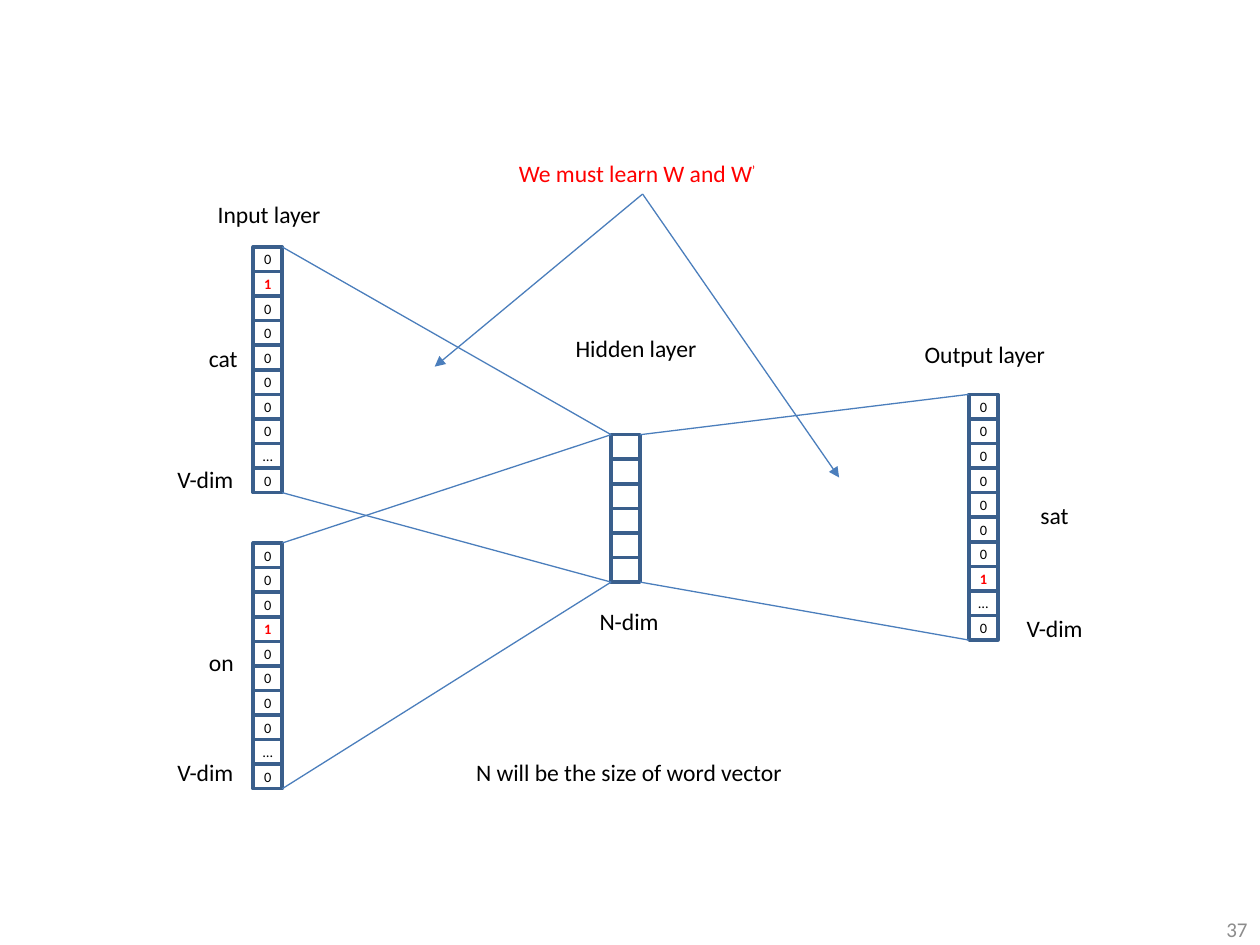
from lxml import etree
from pptx import Presentation
from pptx.dml.color import RGBColor
from pptx.enum.shapes import MSO_CONNECTOR, MSO_SHAPE
from pptx.enum.text import MSO_ANCHOR, PP_ALIGN
from pptx.oxml.ns import qn
from pptx.util import Inches, Pt

RECT, STRAIGHT = MSO_SHAPE.RECTANGLE, MSO_CONNECTOR.STRAIGHT
LEFT, CENTER, RIGHT = PP_ALIGN.LEFT, PP_ALIGN.CENTER, PP_ALIGN.RIGHT
TOP, MIDDLE = MSO_ANCHOR.TOP, MSO_ANCHOR.MIDDLE

BLACK = RGBColor(0x00, 0x00, 0x00)
RED = RGBColor(0xFF, 0x00, 0x00)
GRAY = RGBColor(0x8C, 0x8C, 0x8C)
CELL_BORDER = RGBColor(0x3A, 0x5F, 0x8C)
LINK_BLUE = RGBColor(0x4B, 0x7E, 0xBC)

# Content: vectors as (left, top, cell values), in inches
VECTORS = {
    "cat": (2.01, 1.96, ["0", "1", "0", "0", "0", "0", "0", "0", "…", "0"]),
    "on": (2.01, 4.31, ["0", "0", "0", "1", "0", "0", "0", "0", "…", "0"]),
    "hidden": (4.85, 3.45, [""] * 6),
    "sat": (7.69, 3.13, ["0", "0", "0", "0", "0", "0", "0", "1", "…", "0"]),
}
LAYER_LINKS = [("cat", "hidden"), ("on", "hidden"), ("hidden", "sat")]

# Labels as (text, left, top, width)
LABELS = [
    ("cat", 1.56, 2.68, 0.43),
    ("on", 1.56, 5.09, 0.40),
    ("sat", 8.16, 3.93, 0.43),
    ("Input layer", 1.63, 1.54, 1.03),
    ("Hidden layer", 4.47, 2.60, 1.18),
    ("Output layer", 7.24, 2.65, 1.17),
    ("V-dim", 1.31, 3.64, 0.66),
    ("V-dim", 1.31, 5.97, 0.66),
    ("V-dim", 8.05, 4.82, 0.66),
    ("N-dim", 4.66, 4.77, 0.68),
    ("N will be the size of word vector", 3.68, 5.97, 2.66),
]
WEIGHTS_NOTE = ("We must learn W and W", "’")
WEIGHTS_START = (5.10, 1.54)
WEIGHTS_TARGETS = [(3.45, 2.91), (6.66, 3.79)]
PAGE_NUMBER = "37"

CELL_W, CELL_H = 0.23, 0.195
LABEL_H = 0.33


def write(frame, text, size=13.5, color=BLACK, bold=False, align=LEFT,
          anchor=TOP, superscript=""):
    frame.word_wrap = False
    frame.vertical_anchor = anchor
    paragraph = frame.paragraphs[0]
    paragraph.alignment = align
    for part in filter(None, (text, superscript)):
        run = paragraph.add_run()
        run.text = part
        run.font.name = "Calibri"
        run.font.size = Pt(size)
        run.font.bold = bold
        run.font.color.rgb = color
    if superscript:
        run.font._element.set("baseline", "30000")


def add_label(slide, text, left, top, width, height=LABEL_H, **text_format):
    box = slide.shapes.add_textbox(*map(Inches, (left, top, width, height)))
    write(box.text_frame, text, **text_format)


def add_vector(slide, left, top, values):
    cells = slide.shapes.add_group_shape().shapes
    for row, value in enumerate(values):
        place = (left, top + row * CELL_H, CELL_W, CELL_H)
        cell = cells.add_shape(RECT, *map(Inches, place))
        cell.shadow.inherit = False
        cell.fill.background()
        cell.line.color.rgb = CELL_BORDER
        cell.line.width = Pt(2)
        if value:
            frame = cell.text_frame
            frame.margin_left = frame.margin_right = 0
            frame.margin_top = frame.margin_bottom = 0
            hot = value == "1"
            write(frame, value, size=8.2, color=RED if hot else BLACK,
                  bold=hot, align=CENTER, anchor=MIDDLE)


def add_link(slide, start, end, arrow=False):
    link = slide.shapes.add_connector(STRAIGHT, *map(Inches, (*start, *end)))
    link.line.color.rgb = LINK_BLUE
    link.line.width = Pt(0.75)
    if arrow:
        etree.SubElement(link.line._get_or_add_ln(), qn("a:tailEnd"), type="triangle")
    etree.SubElement(link._element.spPr, qn("a:effectLst"))


def main():
    prs = Presentation()
    prs.slide_width, prs.slide_height = Inches(10), Inches(7.5)
    slide = prs.slides.add_slide(prs.slide_layouts[6])

    # Word vectors and hidden layer
    for left, top, values in VECTORS.values():
        add_vector(slide, left, top, values)

    # Links between the top and the bottom corners of neighbouring layers
    for source, target in LAYER_LINKS:
        left, top, values = VECTORS[source]
        next_left, next_top, next_values = VECTORS[target]
        right = left + CELL_W
        add_link(slide, (right, top), (next_left, next_top))
        add_link(slide, (right, top + len(values) * CELL_H),
                 (next_left, next_top + len(next_values) * CELL_H))

    # Labels
    for label in LABELS:
        add_label(slide, *label)

    # Note on the weights, with arrows to both weight matrices
    note, prime = WEIGHTS_NOTE
    add_label(slide, note, 4.02, 1.21, 2.15, color=RED, superscript=prime)
    for target in WEIGHTS_TARGETS:
        add_link(slide, WEIGHTS_START, target, arrow=True)

    # Page number
    add_label(slide, PAGE_NUMBER, 7.67, 7.25, 2.33, 0.25, size=12, color=GRAY,
              align=RIGHT, anchor=MIDDLE)
    # A wrapped box keeps the number at its right edge
    slide.shapes[-1].text_frame.word_wrap = True

    prs.save("out.pptx")


if __name__ == "__main__":
    main()
